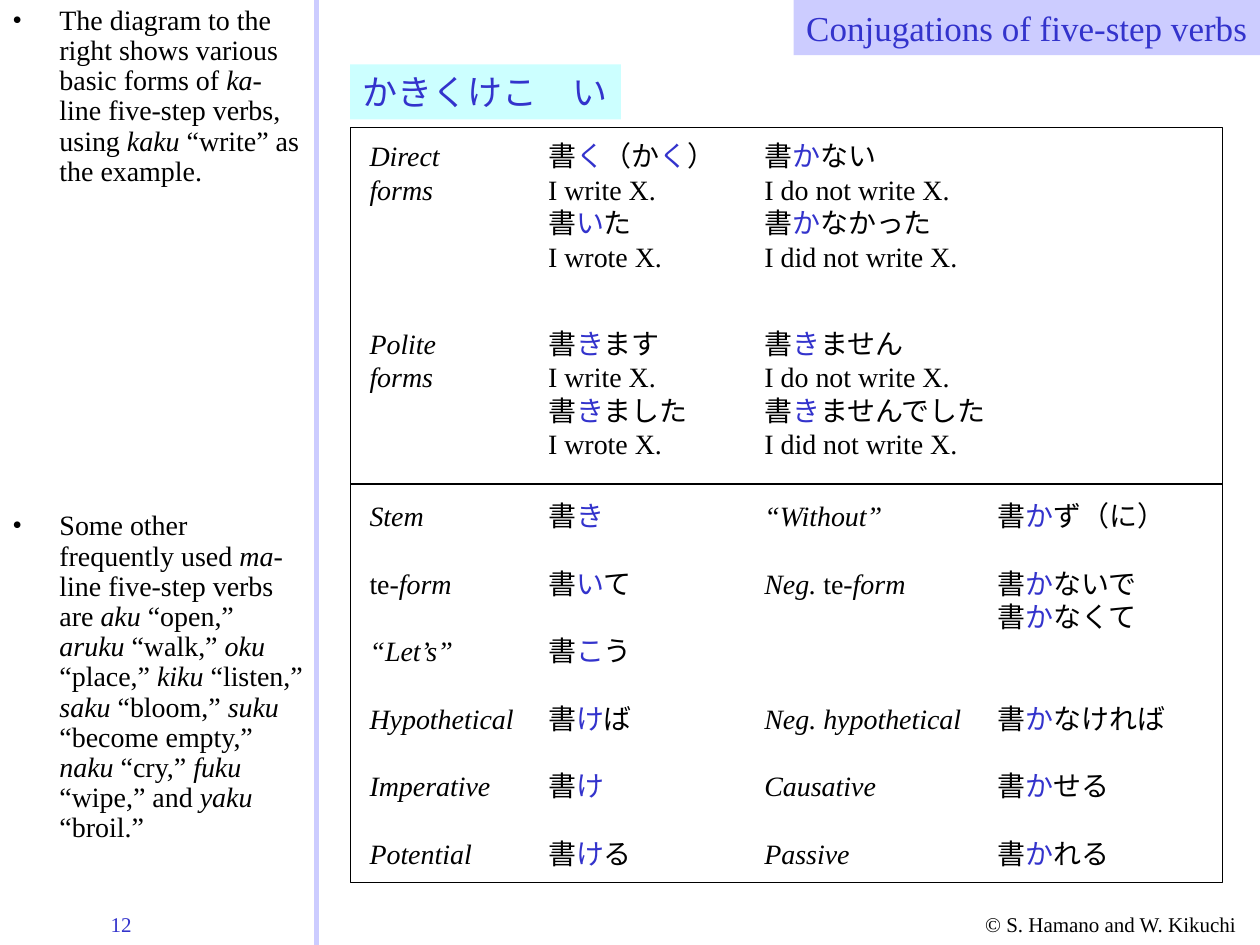
from dataclasses import dataclass

from lxml import etree
from pptx import Presentation
from pptx import util as u
from pptx.dml.color import RGBColor
from pptx.enum import shapes, text
from pptx.oxml.ns import qn


@dataclass(frozen=True)
class Theme:
    font: str = "Times New Roman"
    ink: str = "000000"
    accent: str = "3333CC"
    lavender: str = "CCCCFF"
    aqua: str = "CCFFFF"
    heading: int = 20
    body: int = 16
    small: int = 12


THEME = Theme()

# Asterisks enclose italics, bars enclose accented kana.
TITLE = "Conjugations of five-step verbs"
KANA_LINE = "かきくけこ　い"
PAGE_NUMBER = "12"
CREDIT = "© S. Hamano and W. Kikuchi"

NOTES = [
    ((0, 0, 6.3, 4.45),
     "The diagram to the right shows various basic forms of *ka-*line "
     "five-step verbs, using *kaku* “write” as the example."),
    ((0, 10.19, 6.38, 6.96),
     "Some other frequently used *ma*-line five-step verbs are "
     "*aku* “open,” *aruku* “walk,” *oku* “place,” *kiku* “listen,” "
     "*saku* “bloom,” *suku* “become empty,” *naku* “cry,” "
     "*fuku* “wipe,” and *yaku* “broil.”"),
]

TENSE_ROWS = [
    [("*Direct*\n*forms*", 1.93),
     ("書|く|（か|く|）\nI write X.\n書|い|た\nI wrote X.", 3.89),
     ("書|か|ない\nI do not write X.\n書|か|なかった\nI did not write X.", 4.39)],
    [("*Polite*\n*forms*", 1.85),
     ("書|き|ます\nI write X.\n書|き|ました\nI wrote X.", 3.33),
     ("書|き|ません\nI do not write X.\n書|き|ませんでした\nI did not write X.", 5)],
]

FORM_ROWS = [
    [("*Stem*", 1.6), ("書|き|", 1.63), ("*“Without”*", 2.92), ("書|か|ず（に）", 3.89)],
    [("te*-form*", 2.16), ("書|い|て", 2.18), ("*Neg. *te*-form*", 3.35),
     ("書|か|ないで\n書|か|なくて", 3.33)],
    [("*“Let’s”*", 2.26), ("書|こ|う", 2.18)],
    [("*Hypothetical*", 3.4), ("書|け|ば", 2.18), ("*Neg. hypothetical*", 4.47),
     ("書|か|なければ", 3.89)],
    [("*Imperative*", 2.95), ("書|け|", 1.63), ("*Causative*", 2.74), ("書|か|せる", 2.74)],
    [("*Potential*", 2.57), ("書|け|る", 2.18), ("*Passive*", 2.21), ("書|か|れる", 2.74)],
]

COLUMNS = [7.2, 10.8, 15.16, 19.86]
TENSES_TOP, TENSES_STEP = 2.67, 3.78
FORMS_TOP, FORMS_STEP = 9.93, 1.36
LINE_HEIGHT, PADDING = 0.68, 0.25
FRAMES = [(2.57, 7.2), (9.76, 8.03)]
FRAME_LEFT, FRAME_WIDTH = 7.06, 17.58
DIVIDER, PAGE_WIDTH, PAGE_HEIGHT = 6.38, 25.4, 19.05


def color(code):
    return RGBColor.from_string(code)


def cm(*lengths):
    return [u.Cm(length) for length in lengths]


def write(holder, content, size=THEME.body, ink=THEME.ink, align=text.PP_ALIGN.LEFT,
          bullet=False):
    frame = holder.text_frame
    frame.word_wrap = True
    frame.auto_size = text.MSO_AUTO_SIZE.NONE
    frame.vertical_anchor = text.MSO_ANCHOR.TOP
    if align == text.PP_ALIGN.RIGHT:
        frame.margin_left = 0
    elif not bullet:
        frame.margin_right = 0
    for row, line in enumerate(content.split("\n")):
        paragraph = frame.add_paragraph() if row else frame.paragraphs[0]
        paragraph.alignment = align
        if bullet:
            add_bullet(paragraph)
        for i, phrase in enumerate(line.split("*")):
            for j, part in enumerate(phrase.split("|")):
                if part:
                    run = paragraph.add_run()
                    run.text = part
                    run.font.name = THEME.font
                    run.font.size = u.Pt(size)
                    run.font.italic = i % 2 == 1
                    run.font.color.rgb = color(THEME.accent if j % 2 else ink)


def add_bullet(paragraph):
    paragraph.line_spacing = 0.9
    properties = paragraph._p.get_or_add_pPr()
    properties.set("marL", str(u.Cm(0.95)))
    properties.set("indent", str(u.Cm(-0.95)))
    tint = etree.SubElement(properties, qn("a:buClr"))
    etree.SubElement(tint, qn("a:srgbClr"), val=THEME.ink)
    etree.SubElement(properties, qn("a:buFont"), typeface=THEME.font)
    etree.SubElement(properties, qn("a:buChar"), char="•")


def add_text(slide, box, content, **style):
    write(slide.shapes.add_textbox(*cm(*box)), content, **style)


def add_panel(slide, box, fill=None, line=None):
    panel = slide.shapes.add_shape(shapes.MSO_SHAPE.RECTANGLE, *cm(*box))
    panel.shadow.inherit = False
    if fill:
        panel.fill.solid()
        panel.fill.fore_color.rgb = color(fill)
    else:
        panel.fill.background()
    if line:
        panel.line.color.rgb = color(line)
        panel.line.width = u.Pt(0.75)
    else:
        panel.line.fill.background()
    return panel


def add_divider(slide):
    divider = slide.shapes.add_connector(
        shapes.MSO_CONNECTOR.STRAIGHT, *cm(DIVIDER, 0, DIVIDER, PAGE_HEIGHT))
    divider.line.color.rgb = color(THEME.lavender)
    divider.line.width = u.Pt(3)
    etree.SubElement(divider._element.spPr, qn("a:effectLst"))


def add_title(slide):
    title = slide.shapes.title
    title.left, title.top, title.width, title.height = cm(16, 0, 9.4, 1.11)
    title.fill.solid()
    title.fill.fore_color.rgb = color(THEME.lavender)
    write(title, TITLE, size=THEME.heading, ink=THEME.accent, align=text.PP_ALIGN.RIGHT)


def add_grid(slide, rows, top, step):
    for index, row in enumerate(rows):
        for left, (content, width) in zip(COLUMNS, row):
            height = PADDING + LINE_HEIGHT * len(content.split("\n"))
            add_text(slide, (left, top + step * index, width, height), content)


def main():
    deck = Presentation()
    deck.slide_width, deck.slide_height = cm(PAGE_WIDTH, PAGE_HEIGHT)
    slide = deck.slides.add_slide(deck.slide_layouts[5])

    add_text(slide, (19.61, 18.26, 5.79, 0.76), CREDIT, size=THEME.small)
    add_text(slide, (1.98, 18.26, 2.26, 0.76), PAGE_NUMBER, size=THEME.small,
             ink=THEME.accent)
    add_divider(slide)
    for box, note in NOTES:
        add_text(slide, box, note, bullet=True)
    kana = add_panel(slide, (FRAME_LEFT, 1.3, 5.46, 1.11), fill=THEME.aqua)
    write(kana, KANA_LINE, size=THEME.heading, ink=THEME.accent)
    add_grid(slide, TENSE_ROWS, TENSES_TOP, TENSES_STEP)
    add_grid(slide, FORM_ROWS, FORMS_TOP, FORMS_STEP)
    add_title(slide)
    for top, height in FRAMES:
        add_panel(slide, (FRAME_LEFT, top, FRAME_WIDTH, height), line=THEME.ink)

    deck.save("out.pptx")


if __name__ == "__main__":
    main()
